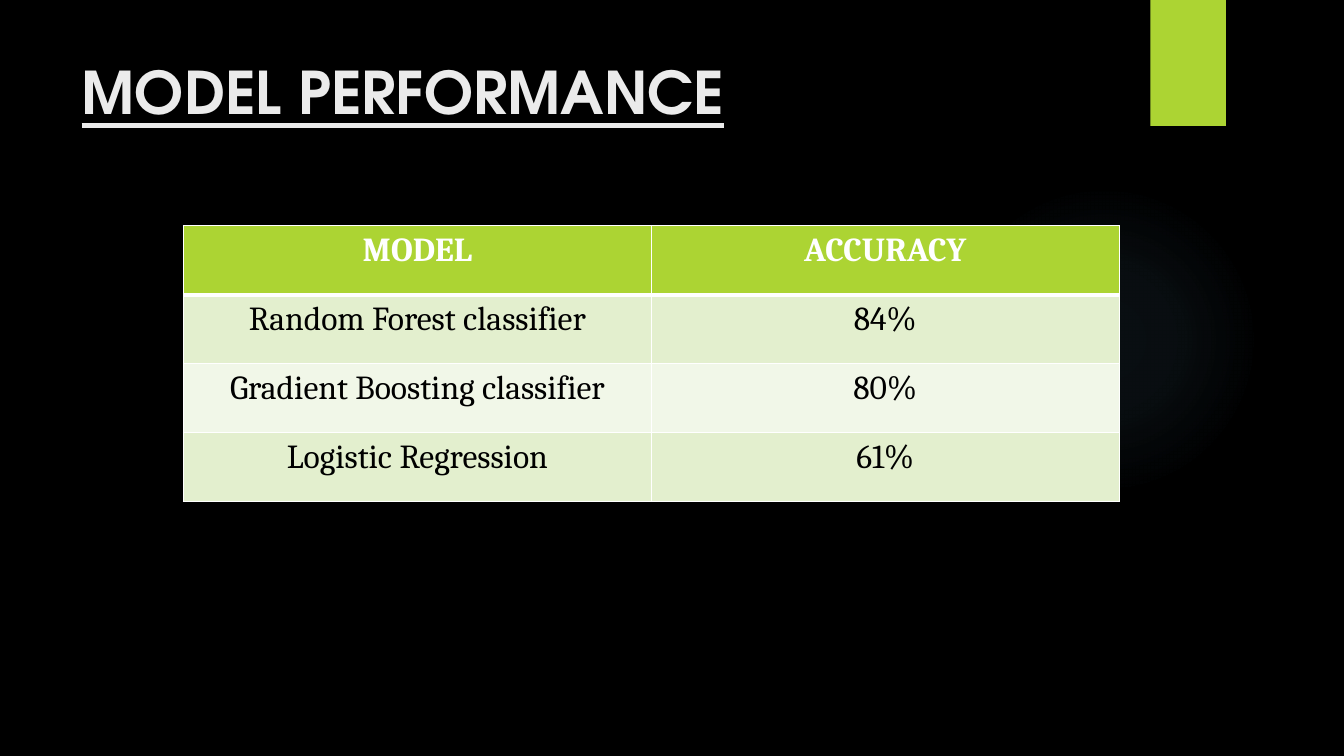
from dataclasses import dataclass
from typing import NamedTuple

from lxml import etree
from pptx import Presentation
from pptx import util as u
from pptx.dml.color import RGBColor
from pptx.enum import shapes, text
from pptx.oxml import ns, parse_xml

PX = 9144  # EMU per px, 100 px to the inch


@dataclass(frozen=True)
class Theme:
    background: str = "000000"
    accent: str = "ACD433"
    glow: str = "7AC4F0"
    title: str = "EBEBEB"
    white: str = "FFFFFF"
    body: str = "000000"
    bands: tuple[str, str] = ("E3EFCE", "F1F7E8")
    title_font: str = "TeX Gyre Adventor"
    table_font: str = "Cambria"
    title_size: int = 42
    table_size: int = 24
    rule: int = 1
    header_rule: int = 3


class Box(NamedTuple):
    x: int
    y: int
    w: int
    h: int

    def emu(self) -> list[u.Emu]:
        return [u.Emu(v * PX) for v in self]


class Score(NamedTuple):
    model: str
    accuracy: str


@dataclass(frozen=True)
class Decoration:
    kind: shapes.MSO_SHAPE
    box: Box


THEME = Theme()
GLOW = Decoration(shapes.MSO_SHAPE.OVAL, Box(941, 183, 308, 308))
TAB = Decoration(shapes.MSO_SHAPE.RECTANGLE, Box(1141, 0, 75, 125))
TITLE_BOX = Box(71, 50, 1029, 153)
TABLE_BOX = Box(182, 224, 928, 274)
GLOW_STOPS = ((0, 7), (36, 6), (69, 0))  # position %, opacity %
SCORES = (
    Score("MODEL", "ACCURACY"),
    Score("Random Forest classifier", "84%"),
    Score("Gradient Boosting classifier", "80%"),
    Score("Logistic Regression", "61%"),
)


def rgb(color: str) -> RGBColor:
    return RGBColor.from_string(color)


def add_decoration(slide, item: Decoration):
    sp = slide.shapes.add_shape(item.kind, *item.box.emu())
    sp.shadow.inherit = False
    sp.line.fill.background()
    sp.fill.solid()
    sp.fill.fore_color.rgb = rgb(THEME.accent)
    return sp


def fill_with_glow(sp) -> None:
    """Replace the solid fill with a fading radial gradient."""
    stops = "".join(
        f'<a:gs pos="{pos * 1000}"><a:srgbClr val="{THEME.glow}">'
        f'<a:alpha val="{alpha * 1000}"/></a:srgbClr></a:gs>'
        for pos, alpha in GLOW_STOPS
    )
    gradient = parse_xml(
        f'<a:gradFill {ns.nsdecls("a")}><a:gsLst>{stops}</a:gsLst><a:path path="circle">'
        '<a:fillToRect l="50000" t="50000" r="50000" b="50000"/></a:path></a:gradFill>'
    )
    solid = sp.fill._xPr.find(ns.qn("a:solidFill"))
    solid.getparent().replace(solid, gradient)


def add_title(slide, words: str) -> None:
    title = slide.shapes.title
    title.left, title.top, title.width, title.height = TITLE_BOX.emu()
    tf = title.text_frame
    tf.text = words
    tf.auto_size = text.MSO_AUTO_SIZE.NONE
    tf.vertical_anchor = text.MSO_ANCHOR.TOP
    p = tf.paragraphs[0]
    p.alignment = text.PP_ALIGN.LEFT
    p.font.name, p.font.size = THEME.title_font, u.Pt(THEME.title_size)
    p.font.bold = p.font.underline = True
    p.font.color.rgb = rgb(THEME.title)


def set_borders(cell, top: int, bottom: int) -> None:
    """Add white borders ahead of the cell fill, widths in points."""
    tc_pr = cell._tc.get_or_add_tcPr()
    widths = {"lnL": THEME.rule, "lnR": THEME.rule, "lnT": top, "lnB": bottom}
    for i, (tag, width) in enumerate(widths.items()):
        ln = etree.Element(ns.qn(f"a:{tag}"), w=str(u.Pt(width)))
        fill = etree.SubElement(ln, ns.qn("a:solidFill"))
        etree.SubElement(fill, ns.qn("a:srgbClr"), val=THEME.white)
        tc_pr.insert(i, ln)


def format_cell(cell, words: str, row: int) -> None:
    header = row == 0
    cell.text = words
    cell.fill.solid()
    cell.fill.fore_color.rgb = rgb(THEME.accent if header else THEME.bands[(row - 1) % 2])
    set_borders(
        cell,
        top=THEME.header_rule if row == 1 else THEME.rule,
        bottom=THEME.header_rule if header else THEME.rule,
    )
    p = cell.text_frame.paragraphs[0]
    p.alignment = text.PP_ALIGN.CENTER
    p.font.name, p.font.size = THEME.table_font, u.Pt(THEME.table_size)
    p.font.bold = header
    p.font.color.rgb = rgb(THEME.white if header else THEME.body)


def add_score_table(slide) -> None:
    frame = slide.shapes.add_table(len(SCORES), len(Score._fields), *TABLE_BOX.emu())
    for row, score in enumerate(SCORES):
        for col, words in enumerate(score):
            format_cell(frame.table.cell(row, col), words, row)


def main() -> None:
    prs = Presentation()
    prs.slide_width, prs.slide_height = u.Emu(1333 * PX), u.Emu(750 * PX)
    slide = prs.slides.add_slide(prs.slide_layouts.get_by_name("Title Only"))

    # Background and decorations
    slide.background.fill.solid()
    slide.background.fill.fore_color.rgb = rgb(THEME.background)
    fill_with_glow(add_decoration(slide, GLOW))
    add_decoration(slide, TAB)

    # Content
    add_title(slide, "MODEL PERFORMANCE")
    add_score_table(slide)
    prs.save("out.pptx")


if __name__ == "__main__":
    main()
